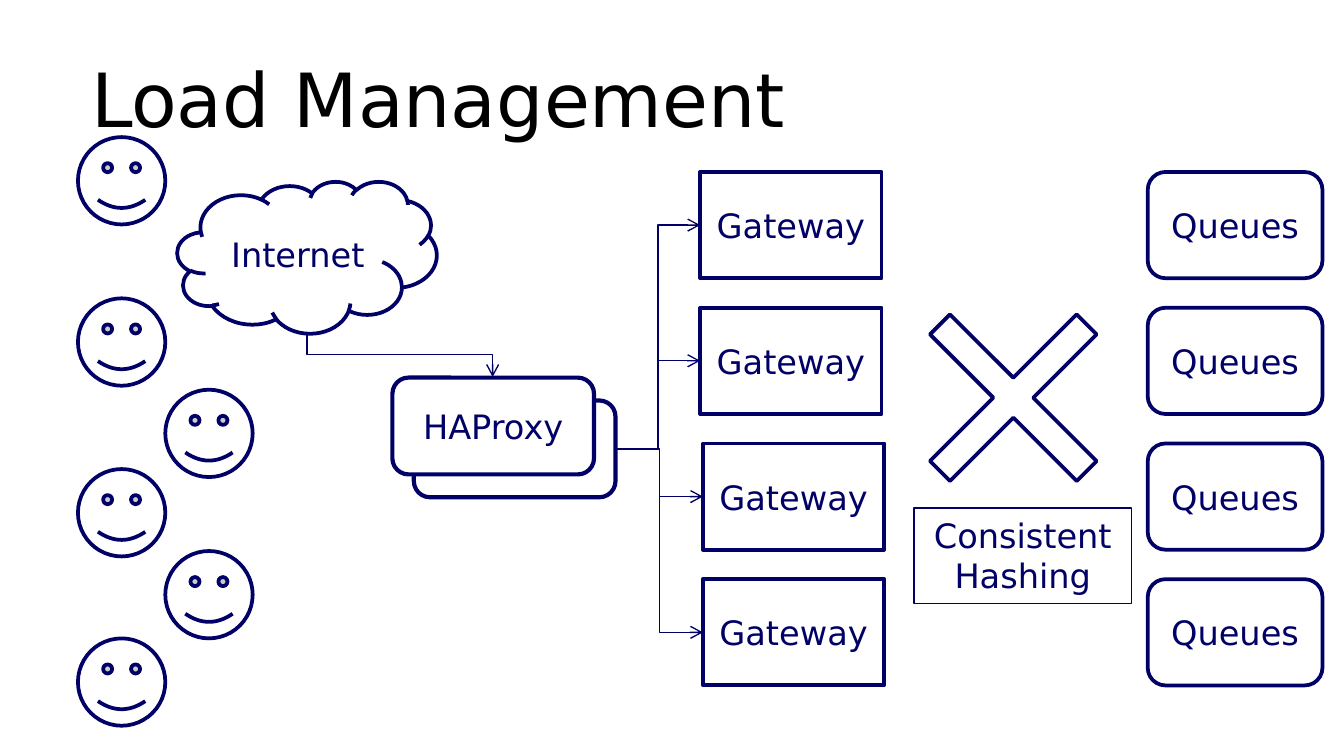
import pptx
import pptx.dml.color
import pptx.enum.shapes
import pptx.enum.text
import pptx.oxml
import pptx.oxml.ns
import pptx.util

Inches, Pt = pptx.util.Inches, pptx.util.Pt
SHAPE = pptx.enum.shapes.MSO_SHAPE
ELBOW = pptx.enum.shapes.MSO_CONNECTOR.ELBOW
ALIGN = pptx.enum.text.PP_ALIGN
ANCHOR = pptx.enum.text.MSO_ANCHOR

FONT = "DejaVu Sans"
COLORS = {"navy": "000066", "white": "FFFFFF", "black": "000000"}

TITLE = "Load Management"
USERS = [(0.58, 1.02), (1.23, 2.9), (0.58, 2.22), (0.58, 3.49), (1.23, 4.1), (0.58, 4.75)]
USER_SIZE = 0.65
GATEWAY_LEFTS = [5.21, 5.21, 5.23, 5.23]
QUEUE_LEFT = 8.54
ROW_TOP, ROW_STEP, ROW_HEIGHT = 1.28, 1.01, 0.79
LEFT_SIDE, RIGHT_SIDE = 1, 3  # connection sites of a box


def rgb(name):
    return pptx.dml.color.RGBColor.from_string(COLORS[name])


def set_text(s, text, size, color, align, anchor):
    tf = s.text_frame
    tf.text = text
    tf.word_wrap = True
    tf.vertical_anchor = anchor
    p = tf.paragraphs[0]
    p.alignment = align
    font = p.runs[0].font
    font.name, font.size, font.color.rgb = FONT, Pt(size), rgb(color)


def add_node(kind, left, top, width, height, text="", line=2, filled=True, anchor=ANCHOR.MIDDLE):
    s = slide.shapes.add_shape(kind, Inches(left), Inches(top), Inches(width), Inches(height))
    s.shadow.inherit = False
    if filled:
        s.fill.solid()
        s.fill.fore_color.rgb = rgb("white")
    else:
        s.fill.background()
    s.line.color.rgb = rgb("navy")
    s.line.width = Pt(line)
    if text:
        set_text(s, text, 18, "navy", ALIGN.CENTER, anchor)
    return s


def add_arrow(x1, y1, x2, y2):
    c = slide.shapes.add_connector(ELBOW, Inches(x1), Inches(y1), Inches(x2), Inches(y2))
    c.line.color.rgb = rgb("navy")
    c.line.width = Pt(0.75)
    tail = pptx.oxml.parse_xml(f'<a:tailEnd {pptx.oxml.ns.nsdecls("a")} type="arrow"/>')
    c.line._get_or_add_ln().append(tail)
    effects = pptx.oxml.parse_xml(f'<a:effectLst {pptx.oxml.ns.nsdecls("a")}/>')
    c._element.spPr.append(effects)
    return c


prs = pptx.Presentation()
prs.slide_width = Inches(10)
prs.slide_height = prs.slide_width * 9 // 16
slide = prs.slides.add_slide(prs.slide_layouts[6])

proxy_back = add_node(SHAPE.ROUNDED_RECTANGLE, 3.08, 2.98, 1.5, 0.72, line=2.25)

title = slide.shapes.add_textbox(Inches(0.58), Inches(0.23), Inches(8.83), Inches(1))
set_text(title, TITLE, 40, "black", ALIGN.LEFT, ANCHOR.MIDDLE)

gateways = []
for row, left in enumerate(GATEWAY_LEFTS):
    top = ROW_TOP + row * ROW_STEP
    gateways.append(add_node(SHAPE.RECTANGLE, left, top, 1.35, ROW_HEIGHT, "Gateway"))
    add_node(SHAPE.ROUNDED_RECTANGLE, QUEUE_LEFT, top, 1.3, ROW_HEIGHT, "Queues")

cross = add_node(SHAPE.MATH_MULTIPLY, 6.49, 1.91, 2.1, 2.1)
cross.adjustments[0] = 0.1

for left, top in USERS:
    add_node(SHAPE.SMILEY_FACE, left, top, USER_SIZE, USER_SIZE)

add_node(SHAPE.CLOUD, 1.32, 1.35, 1.93, 1.13, "Internet")
add_node(SHAPE.RECTANGLE, 6.8, 3.78, 1.62, 0.71, "Consistent Hashing",
         line=0.75, filled=False, anchor=ANCHOR.TOP)
add_node(SHAPE.ROUNDED_RECTANGLE, 2.92, 2.81, 1.5, 0.72, "HAProxy", line=2.25)

# A quarter turn makes the elbow leave the cloud downwards
internet_arrow = add_arrow(3.14, 1.95, 2.81, 3.33)
internet_arrow._element.spPr.xfrm.set("rot", str(270 * 60000))

for gateway in gateways:
    arrow = add_arrow(4.58, 3.34, 5.21, 3.34)
    arrow.begin_connect(proxy_back, RIGHT_SIDE)
    arrow.end_connect(gateway, LEFT_SIDE)

prs.save("out.pptx")
